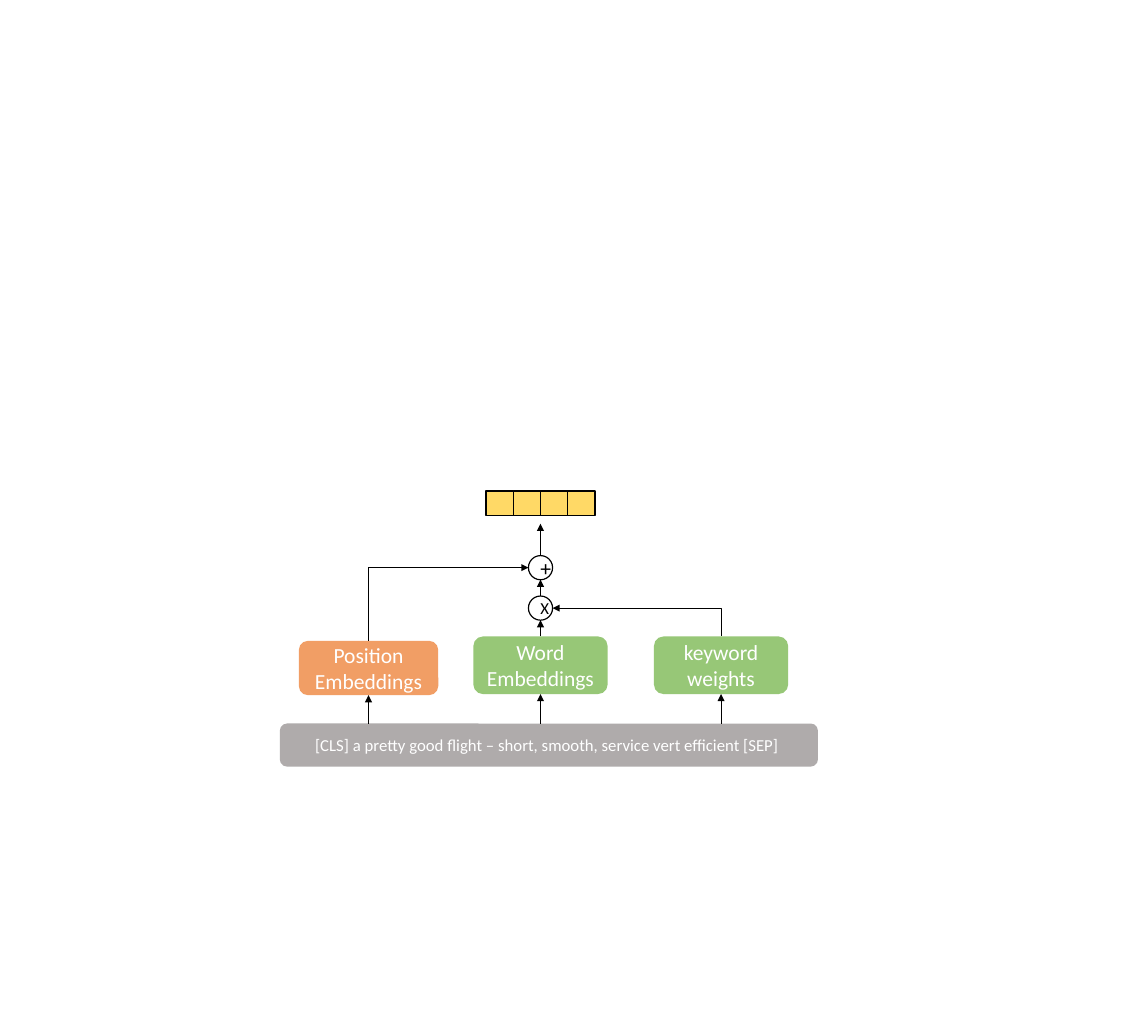
from dataclasses import dataclass

from pptx import Presentation
from pptx import util as u
from pptx.dml.color import RGBColor
from pptx.enum import shapes, text
from pptx.oxml import ns
from pptx.oxml.xmlchemy import OxmlElement

COLORS = {
    "black": "000000",
    "white": "FFFFFF",
    "green": "97C777",
    "orange": "F19E65",
    "gray": "AFABAB",
    "yellow": "FFD966",
}
FONT = "Calibri"
KIND = shapes.MSO_SHAPE

POSITION_X, WORD_X, KEYWORD_X = 308.2, 452, 603
INPUT_TOP = 604.8
NODE_SIZE = 20.2
CELL_COUNT, CELL_WIDTH, CELL_HEIGHT, CELL_TOP = 4, 22.8, 20.2, 410.4


@dataclass(frozen=True)
class Block:
    """A filled shape centred on an x position, with an optional label."""

    center: float
    top: float
    width: float
    height: float
    fill: str
    kind: KIND = KIND.ROUNDED_RECTANGLE
    label: str = ""
    size: float = 18
    ink: str = "white"
    outlined: bool = False

    @property
    def bottom(self) -> float:
        return self.top + self.height

    @property
    def middle(self) -> float:
        return self.top + self.height / 2


@dataclass(frozen=True)
class Arrow:
    """An arrow from a source point to its tip; it rises first if bent."""

    source: tuple[float, float]
    tip: tuple[float, float]
    bent: bool = False


def rgb(name: str) -> RGBColor:
    """Look up a palette colour."""
    return RGBColor.from_string(COLORS[name])


def node(top: float, label: str, size: float) -> Block:
    """Describe a round operator above the word embeddings."""
    return Block(WORD_X, top, NODE_SIZE, NODE_SIZE, "white", KIND.OVAL,
                 label, size, "black", True)


def draw_block(parent, block: Block) -> None:
    """Draw a block and its label."""
    shape = parent.add_shape(
        block.kind, u.Pt(block.center - block.width / 2), u.Pt(block.top),
        u.Pt(block.width), u.Pt(block.height))
    shape.shadow.inherit = False
    shape.fill.solid()
    shape.fill.fore_color.rgb = rgb(block.fill)
    if block.outlined:
        shape.line.color.rgb = rgb("black")
        shape.line.width = u.Pt(1)
    else:
        shape.line.fill.background()
    if not block.label:
        return
    frame = shape.text_frame
    frame.text = block.label
    frame.vertical_anchor = text.MSO_ANCHOR.MIDDLE
    paragraph = frame.paragraphs[0]
    paragraph.alignment = text.PP_ALIGN.CENTER
    font = paragraph.runs[0].font
    font.name, font.size = FONT, u.Pt(block.size)
    font.color.rgb = rgb(block.ink)


def draw_arrow(parent, arrow: Arrow) -> None:
    """Draw an arrow; a bent one runs from its tip so it turns only once."""
    kind = shapes.MSO_CONNECTOR.ELBOW if arrow.bent else shapes.MSO_CONNECTOR.STRAIGHT
    begin, end = (arrow.tip, arrow.source) if arrow.bent else (arrow.source, arrow.tip)
    connector = parent.add_connector(kind, *(u.Pt(value) for value in begin + end))
    connector.line.color.rgb = rgb("black")
    connector.line.width = u.Pt(0.5)
    properties = connector._element.spPr
    if arrow.bent:
        properties.find(ns.qn("a:prstGeom")).set("prst", "bentConnector2")
    arrowhead = OxmlElement("a:headEnd" if arrow.bent else "a:tailEnd")
    arrowhead.set("type", "triangle")
    properties.find(ns.qn("a:ln")).append(arrowhead)
    properties.append(OxmlElement("a:effectLst"))


presentation = Presentation()
presentation.slide_width, presentation.slide_height = u.Pt(960), u.Pt(851.76)
slide = presentation.slides.add_slide(presentation.slide_layouts[6])

sentence = Block(
    459, INPUT_TOP, 450, 36, "gray", size=14,
    label="[CLS] a pretty good flight – short, smooth, service vert efficient [SEP] ")
position = Block(POSITION_X, 535.7, 116.6, 45.4, "orange", label="Position Embeddings")
word = Block(WORD_X, 532, 112.3, 48.2, "green", label="Word Embeddings")
keyword = Block(KEYWORD_X, 532, 112.3, 48.2, "green", label="keyword weights")
multiply = node(498.2, "X", 14)
add = node(464.4, "+", 18)
radius = NODE_SIZE / 2

embeddings = [position, word, keyword]
for block in [sentence, *embeddings, multiply, add]:
    draw_block(slide.shapes, block)

output_vector = slide.shapes.add_group_shape()
for index in range(CELL_COUNT):
    cell_center = WORD_X + (index - (CELL_COUNT - 1) / 2) * CELL_WIDTH
    draw_block(output_vector.shapes, Block(
        cell_center, CELL_TOP, CELL_WIDTH, CELL_HEIGHT, "yellow",
        KIND.RECTANGLE, outlined=True))

input_arrows = [Arrow((block.center, INPUT_TOP), (block.center, block.bottom))
                for block in embeddings]
merge_arrows = [
    Arrow((WORD_X, word.top), (WORD_X, multiply.bottom)),
    Arrow((WORD_X, multiply.top), (WORD_X, add.bottom)),
    Arrow((WORD_X, add.top), (WORD_X, 437.8)),
    Arrow((KEYWORD_X, keyword.top), (WORD_X + radius, multiply.middle), bent=True),
    Arrow((POSITION_X, position.top), (WORD_X - radius, add.middle), bent=True),
]
for arrow in input_arrows + merge_arrows:
    draw_arrow(slide.shapes, arrow)

presentation.save("out.pptx")
